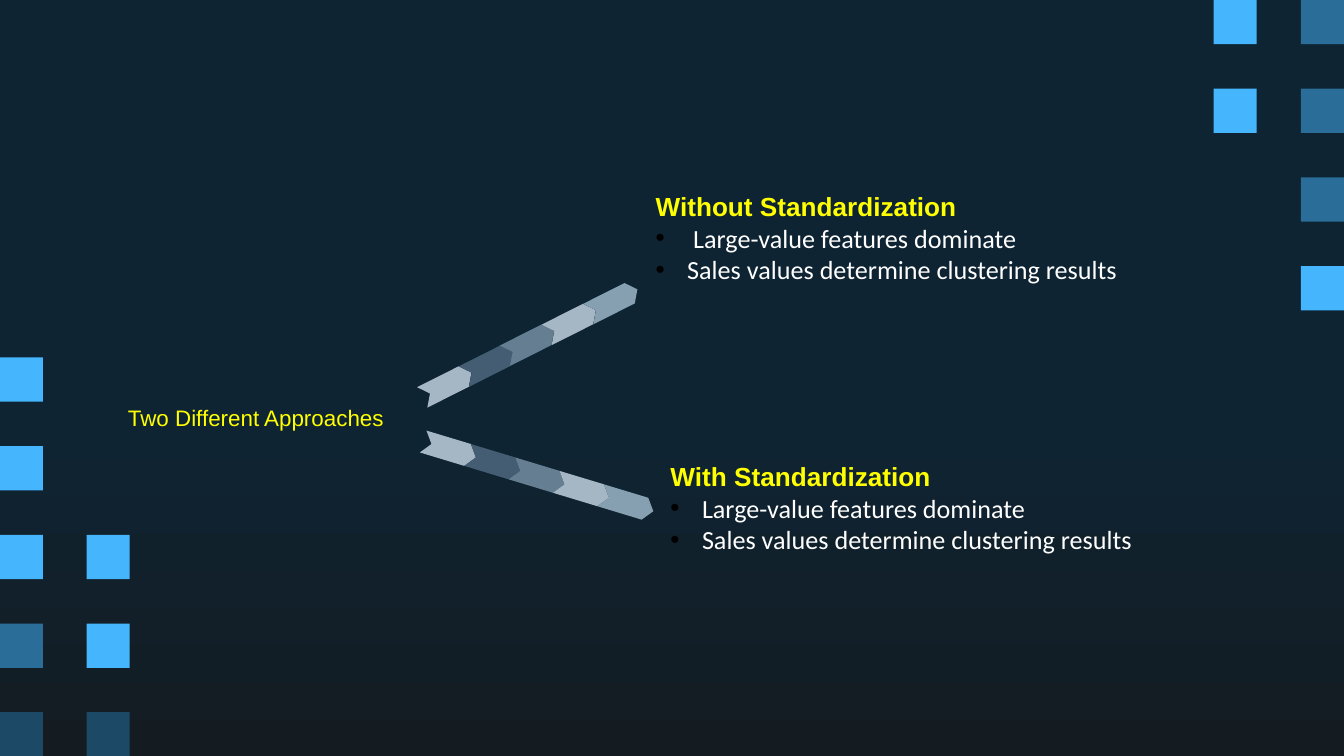
import math

import pptx
import pptx.dml.color
import pptx.enum.shapes
import pptx.enum.text
import pptx.oxml
import pptx.oxml.ns
import pptx.util

PX = 4572  # 200 px to the inch
COLORS = {
    "navy": "0E2433", "night": "141C21",
    "sky": "45B6FE", "blue": "296D98", "deep": "1C4966",
    "pale": "A5B7C5", "slate": "445D73", "steel": "667E92", "mist": "869FB1",
    "yellow": "FFFF00", "white": "FFFFFF", "black": "000000",
}
KIND = pptx.enum.shapes.MSO_SHAPE


def draw(kind, box, color):
    """Add a plain filled shape without line or shadow."""
    shape = slide.shapes.add_shape(kind, *[n * PX for n in box])
    shape.shadow.inherit = False
    shape.fill.solid()
    shape.fill.fore_color.rgb = pptx.dml.color.RGBColor.from_string(COLORS[color])
    shape.line.fill.background()
    return shape


def write(para, text, font, size, color, bold=False):
    run = para.add_run()
    run.text = text
    run.font.name = font
    run.font.size = pptx.util.Pt(size)
    run.font.bold = bold
    run.font.color.rgb = pptx.dml.color.RGBColor.from_string(COLORS[color])


deck = pptx.Presentation()
deck.slide_width, deck.slide_height = 2000 * PX, 1125 * PX
slide = deck.slides.add_slide(deck.slide_layouts[5])

back = slide.background.fill
back.gradient()
back.gradient_angle = 270
for stop, place, color in zip(back.gradient_stops, (0.56, 1), ("navy", "night")):
    stop.position = place
    stop.color.rgb = pptx.dml.color.RGBColor.from_string(COLORS[color])

# Columns of squares: left, top of first, colours downwards
columns = [
    (0, 532, ["sky", "sky", "sky", "blue", "deep"]),
    (129, 796, ["sky", "sky", "deep"]),
    (1806, 0, ["sky", "sky"]),
    (1936, 0, ["blue", "blue", "blue", "sky"]),
]
for left, top, colors in columns:
    for row, color in enumerate(colors):
        draw(KIND.RECTANGLE, (left, top + row * 132, 64, 66), color)

title = slide.shapes.title
title.left, title.top, title.width, title.height = [n * PX for n in (142, 586, 478, 72)]
frame = title.text_frame
frame.word_wrap = True
frame.auto_size = pptx.enum.text.MSO_AUTO_SIZE.NONE
frame.vertical_anchor = pptx.enum.text.MSO_ANCHOR.MIDDLE
frame.margin_left = frame.margin_right = 20 * PX
frame.margin_top = frame.margin_bottom = 20 * PX
para = frame.paragraphs[0]
para.alignment = pptx.enum.text.PP_ALIGN.CENTER
write(para, "Two Different Approaches", "Arial", 12, "yellow")

# Arrows: chevrons set one after another along a tilted line
step = 69
for left, top, angle in [(624, 556, -26.7), (628, 652, 16.8)]:
    turn = math.radians(angle)
    for i, color in enumerate(["pale", "slate", "steel", "pale", "mist"]):
        x = left + round(i * step * math.cos(turn))
        y = top + round(i * step * math.sin(turn))
        link = draw(KIND.CHEVRON, (x, y, 82, 34), color)
        link.adjustments[0] = 0.38
        link.rotation = angle

notes = [
    ((956, 274, 940, 208), "Without Standardization", " Large-value features dominate"),
    ((978, 676, 1032, 162), "With Standardization", "Large-value features dominate"),
]
for box, head, first in notes:
    frame = slide.shapes.add_textbox(*[n * PX for n in box]).text_frame
    frame.word_wrap = True
    write(frame.paragraphs[0], head, "Arial", 14, "yellow", True)
    for text in (first, "Sales values determine clustering results"):
        para = frame.add_paragraph()
        props = para._p.get_or_add_pPr()
        props.set("marL", str(47 * PX))
        props.set("indent", str(-47 * PX))
        space = pptx.oxml.ns.nsdecls("a")
        for part in (
            f'<a:buClr {space}><a:srgbClr val="{COLORS["black"]}"/></a:buClr>',
            f'<a:buFont {space} typeface="Arial"/>',
            f'<a:buChar {space} char="•"/>',
        ):
            props.append(pptx.oxml.parse_xml(part))
        write(para, text, "Calibri", 14, "white")

deck.save("out.pptx")
